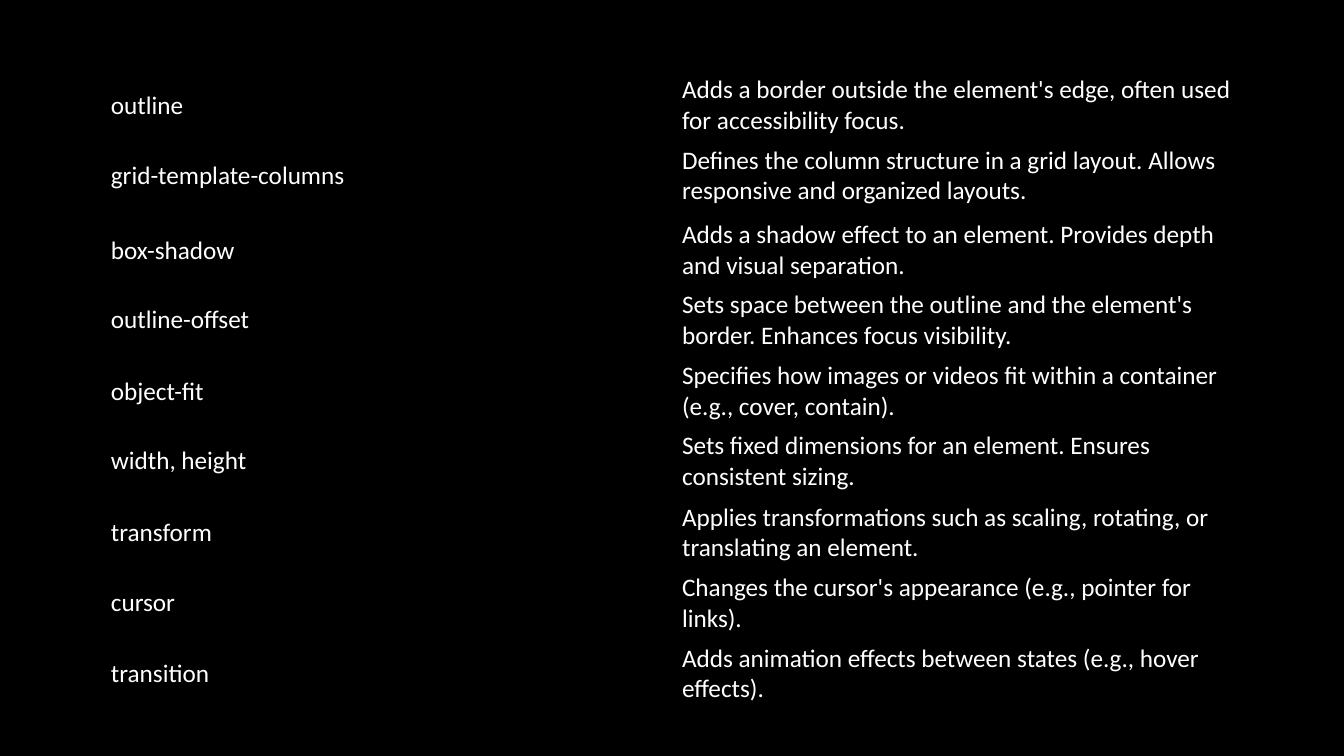
from dataclasses import dataclass

from pptx import Presentation
from pptx import util as u
from pptx.dml.color import RGBColor
from pptx.enum import text


@dataclass(frozen=True)
class Theme:
    background: RGBColor = RGBColor(0x00, 0x00, 0x00)
    ink: RGBColor = RGBColor(0xFF, 0xFF, 0xFF)
    font: str = "Calibri"
    body_size: u.Length = u.Pt(18)


THEME = Theme()
PLAIN_TABLE_STYLE = "{2D5ABB26-0587-4C30-8999-92F81FD0307C}"
LEFT, WIDTH, ROW_HEIGHT = 1, 11.33, 0.7

# Top in inches, CSS property, description
PROPERTIES = [
    (0.69, "outline",
     "Adds a border outside the element's edge, often used for accessibility focus."),
    (1.39, "grid-template-columns",
     "Defines the column structure in a grid layout. Allows responsive and organized layouts."),
    (2.13, "box-shadow",
     "Adds a shadow effect to an element. Provides depth and visual separation."),
    (2.82, "outline-offset",
     "Sets space between the outline and the element's border. Enhances focus visibility."),
    (3.53, "object-fit",
     "Specifies how images or videos fit within a container (e.g., cover, contain)."),
    (4.22, "width, height",
     "Sets fixed dimensions for an element. Ensures consistent sizing."),
    (4.93, "transform",
     "Applies transformations such as scaling, rotating, or translating an element."),
    (5.63, "cursor",
     "Changes the cursor's appearance (e.g., pointer for links)."),
    (6.33, "transition",
     "Adds animation effects between states (e.g., hover effects)."),
]


def fill_cell(cell, wording):
    cell.fill.background()
    cell.vertical_anchor = text.MSO_ANCHOR.MIDDLE
    cell.text_frame.text = wording
    font = cell.text_frame.paragraphs[0].runs[0].font
    font.name = THEME.font
    font.size = THEME.body_size
    font.color.rgb = THEME.ink


def add_property_table(page, box, wordings):
    """Place a borderless one-row table with equal columns in box."""
    frame = page.shapes.add_table(1, len(wordings), *map(u.Inches, box))
    frame.element.xpath(".//a:tableStyleId")[0].text = PLAIN_TABLE_STYLE
    table = frame.table
    table.first_row = table.horz_banding = False
    for cell, wording in zip(table.iter_cells(), wordings):
        fill_cell(cell, wording)


def add_property_slide(deck):
    page = deck.slides.add_slide(deck.slide_layouts[6])
    page.background.fill.solid()
    page.background.fill.fore_color.rgb = THEME.background
    for top, *wordings in PROPERTIES:
        add_property_table(page, (LEFT, top, WIDTH, ROW_HEIGHT), wordings)


def main():
    deck = Presentation()
    deck.slide_width = u.Inches(13.33)
    deck.slide_height = u.Inches(7.5)
    add_property_slide(deck)
    deck.save("out.pptx")


if __name__ == "__main__":
    main()
